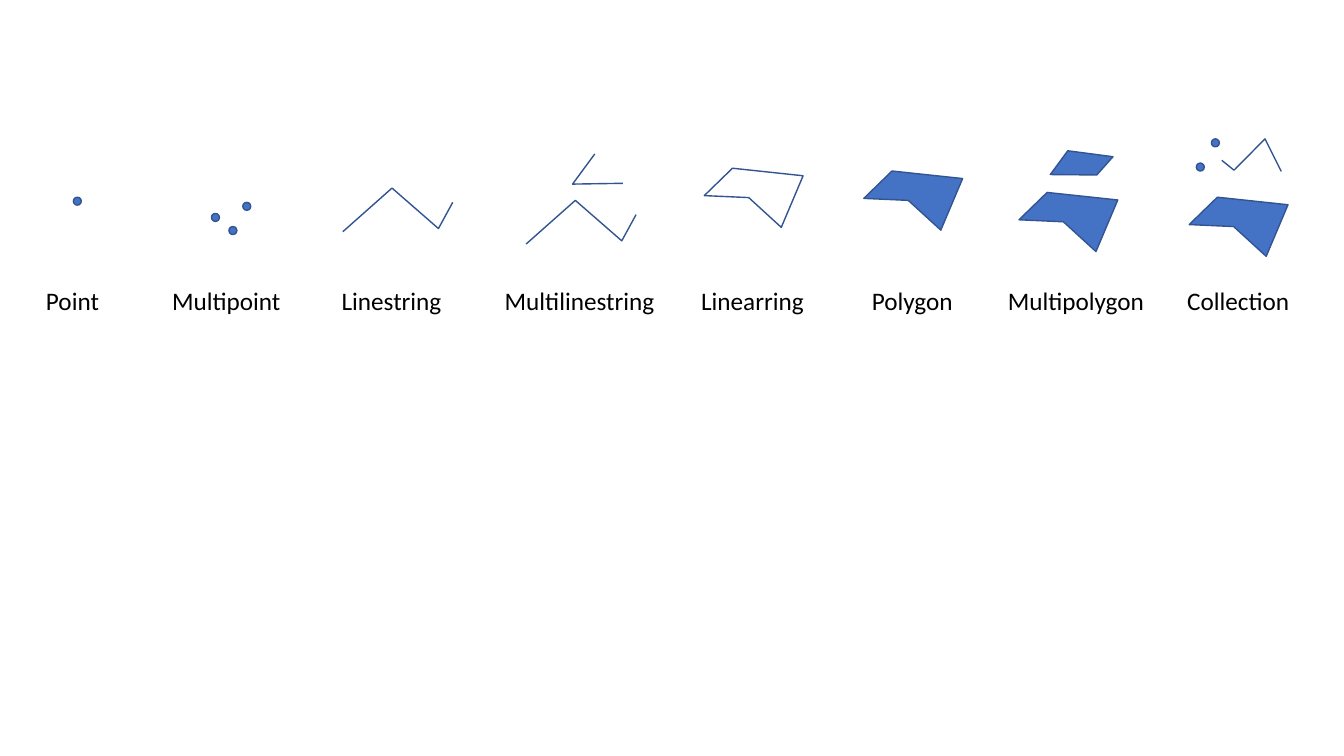
from dataclasses import dataclass

from pptx import Presentation
from pptx.dml.color import RGBColor
from pptx.enum.shapes import MSO_SHAPE
from pptx.enum.text import MSO_AUTO_SIZE
from pptx.util import Cm, Pt


@dataclass(frozen=True)
class Theme:
    fill: RGBColor = RGBColor(0x44, 0x72, 0xC4)
    line: RGBColor = RGBColor(0x32, 0x54, 0x91)
    text: RGBColor = RGBColor(0, 0, 0)
    font: str = "Calibri"
    label_size: int = 18
    line_width: int = 1


@dataclass(frozen=True)
class Box:
    left: float
    top: float
    width: float
    height: float


@dataclass(frozen=True)
class Figure:
    left: float
    top: float
    outline: tuple = ()
    closed: bool = False
    filled: bool = False


THEME = Theme()
DOT_SIZE = 0.2
LABEL_HEIGHT = 1.02
COLUMN_TOP = 3.5
COLUMN_HEIGHT = 4.58

ZIGZAG = ((0, 1.1), (1.24, 0), (2.41, 1.02), (2.77, 0.36))
CORNER = ((1.27, 0.74), (0, 0.76), (0.56, 0))
PEAK = ((1.5, 0.82), (1.09, 0), (0.31, 0.79), (0, 0.54))
PENTAGON = ((0, 0.69), (0.71, 0), (2.49, 0.19), (1.94, 1.49), (1.12, 0.74))
QUADRILATERAL = ((1.17, 0.61), (0, 0.6), (0.44, 0), (1.58, 0.15))


def dot(left, top):
    return Figure(left, top, filled=True)


def polygon(left, top, outline):
    return Figure(left, top, outline, closed=True, filled=True)


GEOMETRIES = (
    ("Point", 0.91, 1.85, (dot(0.94, 1.47),)),
    ("Multipoint", 4.09, 3.28, (dot(1.24, 1.88), dot(1.68, 2.21), dot(2.03, 1.6))),
    ("Linestring", 8.36, 3.05, (Figure(0.28, 1.24, ZIGZAG),)),
    ("Multilinestring", 12.47, 4.32,
     (Figure(0.79, 1.55, ZIGZAG), Figure(1.96, 0.38, CORNER))),
    ("Linearring", 17.42, 3.12, (Figure(0.46 - 0.13, 0.74, PENTAGON, closed=True),)),
    ("Polygon", 21.72, 2.57, (polygon(0.05, 0.81, PENTAGON),)),
    ("Multipolygon", 25.15, 3.99,
     (polygon(0.53, 1.35, PENTAGON), polygon(1.32, 0.3, QUADRILATERAL))),
    ("Collection", 29.67, 3.12,
     (polygon(0.3, 1.47, PENTAGON), Figure(1.12, 0, PEAK),
      dot(0.48, 0.61), dot(0.86, 0))),
)


def add_figure(slide, box, figure):
    left, top = box.left + figure.left, box.top + figure.top
    if figure.outline:
        points = [(Cm(left + x), Cm(top + y)) for x, y in figure.outline]
        builder = slide.shapes.build_freeform(*points[0])
        builder.add_line_segments(points[1:], close=figure.closed)
        shape = builder.convert_to_shape()
    else:
        shape = slide.shapes.add_shape(
            MSO_SHAPE.OVAL, Cm(left), Cm(top), Cm(DOT_SIZE), Cm(DOT_SIZE))
    shape.shadow.inherit = False
    shape.line.color.rgb = THEME.line
    shape.line.width = Pt(THEME.line_width)
    if figure.filled:
        shape.fill.solid()
        shape.fill.fore_color.rgb = THEME.fill
    else:
        shape.fill.background()


def add_label(slide, box, text):
    label = slide.shapes.add_textbox(
        Cm(box.left), Cm(box.top + box.height - LABEL_HEIGHT),
        Cm(box.width), Cm(LABEL_HEIGHT))
    frame = label.text_frame
    frame.word_wrap = False
    frame.auto_size = MSO_AUTO_SIZE.SHAPE_TO_FIT_TEXT
    paragraph = frame.paragraphs[0]
    paragraph.text = text
    paragraph.font.name = THEME.font
    paragraph.font.size = Pt(THEME.label_size)
    paragraph.font.color.rgb = THEME.text


def add_geometry(slide, box, name, figures):
    for figure in figures:
        add_figure(slide, box, figure)
    add_label(slide, box, name)


def main():
    presentation = Presentation()
    presentation.slide_width = Cm(33.87)
    presentation.slide_height = Cm(19.05)
    slide = presentation.slides.add_slide(presentation.slide_layouts[6])
    for name, left, width, figures in GEOMETRIES:
        box = Box(left, COLUMN_TOP, width, COLUMN_HEIGHT)
        add_geometry(slide, box, name, figures)
    presentation.save("out.pptx")


if __name__ == "__main__":
    main()
